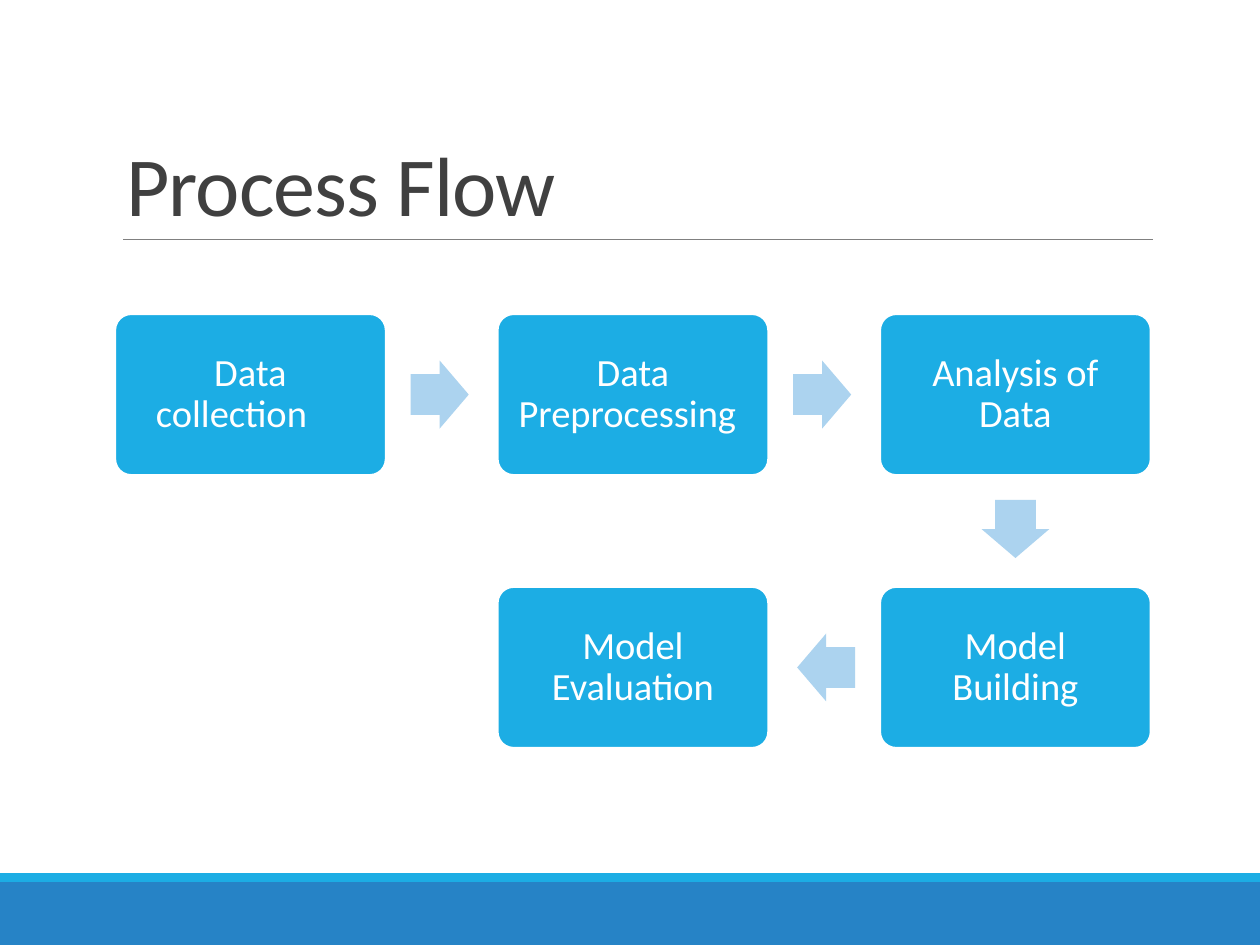
from dataclasses import dataclass

import lxml.etree
import pptx
import pptx.dml.color
import pptx.enum.shapes
import pptx.enum.text
import pptx.oxml.ns
import pptx.presentation
import pptx.shapes.autoshape
import pptx.slide
import pptx.text.text
import pptx.util

Cm = pptx.util.Cm
Pt = pptx.util.Pt
RGB = pptx.dml.color.RGBColor
Shape = pptx.enum.shapes.MSO_SHAPE
Anchor = pptx.enum.text.MSO_ANCHOR
Align = pptx.enum.text.PP_ALIGN


@dataclass(frozen=True)
class Theme:
    font: str = "Calibri"
    title_size: float = 48
    step_size: float = 22
    title: RGB = RGB(0x40, 0x40, 0x40)
    accent: RGB = RGB(0x1C, 0xAD, 0xE4)
    footer: RGB = RGB(0x26, 0x83, 0xC6)
    arrow: RGB = RGB(0xAC, 0xD3, 0xEF)
    rule: RGB = RGB(0x80, 0x80, 0x80)
    white: RGB = RGB(0xFF, 0xFF, 0xFF)


@dataclass(frozen=True)
class Step:
    label: str
    column: int
    row: int

    @property
    def left(self) -> float:
        return GRID_LEFT + self.column * COLUMN_PITCH

    @property
    def top(self) -> float:
        return GRID_TOP + self.row * ROW_PITCH


THEME = Theme()
SLIDE_WIDTH, SLIDE_HEIGHT = 25.4, 19.05
GRID_LEFT, GRID_TOP = 2.32, 6.33
STEP_WIDTH, STEP_HEIGHT = 5.46, 3.25
COLUMN_PITCH, ROW_PITCH = 7.71, 5.5
ARROW_LENGTH, ARROW_BREADTH = 1.17, 1.37
ARROW_SETBACK = 0.04
STEP_INSET = 0.33

# Trailing tabs shift the centred labels slightly to the left.
STEPS = [
    Step("Data collection\t", 0, 0),
    Step("Data Preprocessing\t", 1, 0),
    Step("Analysis of Data", 2, 0),
    Step("Model Building", 2, 1),
    Step("Model Evaluation", 1, 1),
]


def add_filled(slide: pptx.slide.Slide, kind: Shape, left: float, top: float,
               width: float, height: float, fill: RGB) -> pptx.shapes.autoshape.Shape:
    shape = slide.shapes.add_shape(kind, Cm(left), Cm(top), Cm(width), Cm(height))
    shape.shadow.inherit = False
    shape.fill.solid()
    shape.fill.fore_color.rgb = fill
    shape.line.fill.background()
    return shape


def format_text(frame: pptx.text.text.TextFrame, size: float, color: RGB,
                align: Align, line_spacing: float) -> None:
    frame.word_wrap = True
    frame.auto_size = pptx.enum.text.MSO_AUTO_SIZE.NONE
    for paragraph in frame.paragraphs:
        paragraph.alignment = align
        paragraph.line_spacing = line_spacing
        for run in paragraph.runs:
            run.font.name = THEME.font
            run.font.size = Pt(size)
            run.font.color.rgb = color


def add_footer_bands(slide: pptx.slide.Slide) -> None:
    add_filled(slide, Shape.RECTANGLE, 0, 17.78, SLIDE_WIDTH, 1.27, THEME.footer)
    add_filled(slide, Shape.RECTANGLE, 0, 17.6, SLIDE_WIDTH, 0.18, THEME.accent)


def add_title(slide: pptx.slide.Slide) -> None:
    title = slide.shapes.title
    title.left, title.top, title.width, title.height = (
        Cm(2.29), Cm(0.79), Cm(20.95), Cm(4.04))
    frame = title.text_frame
    frame.text = "Process Flow"
    frame.vertical_anchor = Anchor.BOTTOM
    format_text(frame, THEME.title_size, THEME.title, Align.LEFT, 0.85)
    frame.paragraphs[0].runs[0].font._element.set("spc", "-50")


def add_title_rule(slide: pptx.slide.Slide) -> None:
    rule = slide.shapes.add_connector(
        pptx.enum.shapes.MSO_CONNECTOR.STRAIGHT, Cm(2.48), Cm(4.83), Cm(23.24), Cm(4.83))
    rule.line.color.rgb = THEME.rule
    rule.line.width = Pt(0.5)
    lxml.etree.SubElement(rule._element.spPr, pptx.oxml.ns.qn("a:effectLst"))


def add_step(slide: pptx.slide.Slide, step: Step) -> None:
    box = add_filled(slide, Shape.ROUNDED_RECTANGLE, step.left, step.top,
                     STEP_WIDTH, STEP_HEIGHT, THEME.accent)
    box.adjustments[0] = 0.1
    box.line.color.rgb = THEME.white
    box.line.width = Pt(1.25)
    frame = box.text_frame
    frame.text = step.label
    frame.vertical_anchor = Anchor.MIDDLE
    frame.margin_left = frame.margin_right = Cm(STEP_INSET)
    frame.margin_top = frame.margin_bottom = Cm(STEP_INSET)
    format_text(frame, THEME.step_size, THEME.white, Align.CENTER, 0.9)


def add_arrow(slide: pptx.slide.Slide, start: Step, end: Step) -> None:
    """Point from start to a neighbouring step, set slightly back in the gap."""
    across, down = end.column - start.column, end.row - start.row
    center_x = (start.left + end.left + STEP_WIDTH) / 2 - across * ARROW_SETBACK
    center_y = (start.top + end.top + STEP_HEIGHT) / 2 - down * ARROW_SETBACK
    arrow = add_filled(slide, Shape.RIGHT_ARROW, center_x - ARROW_LENGTH / 2,
                       center_y - ARROW_BREADTH / 2, ARROW_LENGTH, ARROW_BREADTH,
                       THEME.arrow)
    arrow.adjustments[0] = 0.6
    arrow.adjustments[1] = 0.5
    arrow.rotation = {(1, 0): 0, (0, 1): 90, (-1, 0): 180}[across, down]


def build_presentation() -> pptx.presentation.Presentation:
    presentation = pptx.Presentation()
    presentation.slide_width = Cm(SLIDE_WIDTH)
    presentation.slide_height = Cm(SLIDE_HEIGHT)
    title_only = presentation.slide_layouts[5]
    slide = presentation.slides.add_slide(title_only)
    add_footer_bands(slide)
    add_title_rule(slide)
    add_title(slide)
    for step in STEPS:
        add_step(slide, step)
    for start, end in zip(STEPS, STEPS[1:]):
        add_arrow(slide, start, end)
    return presentation


if __name__ == "__main__":
    build_presentation().save("out.pptx")
